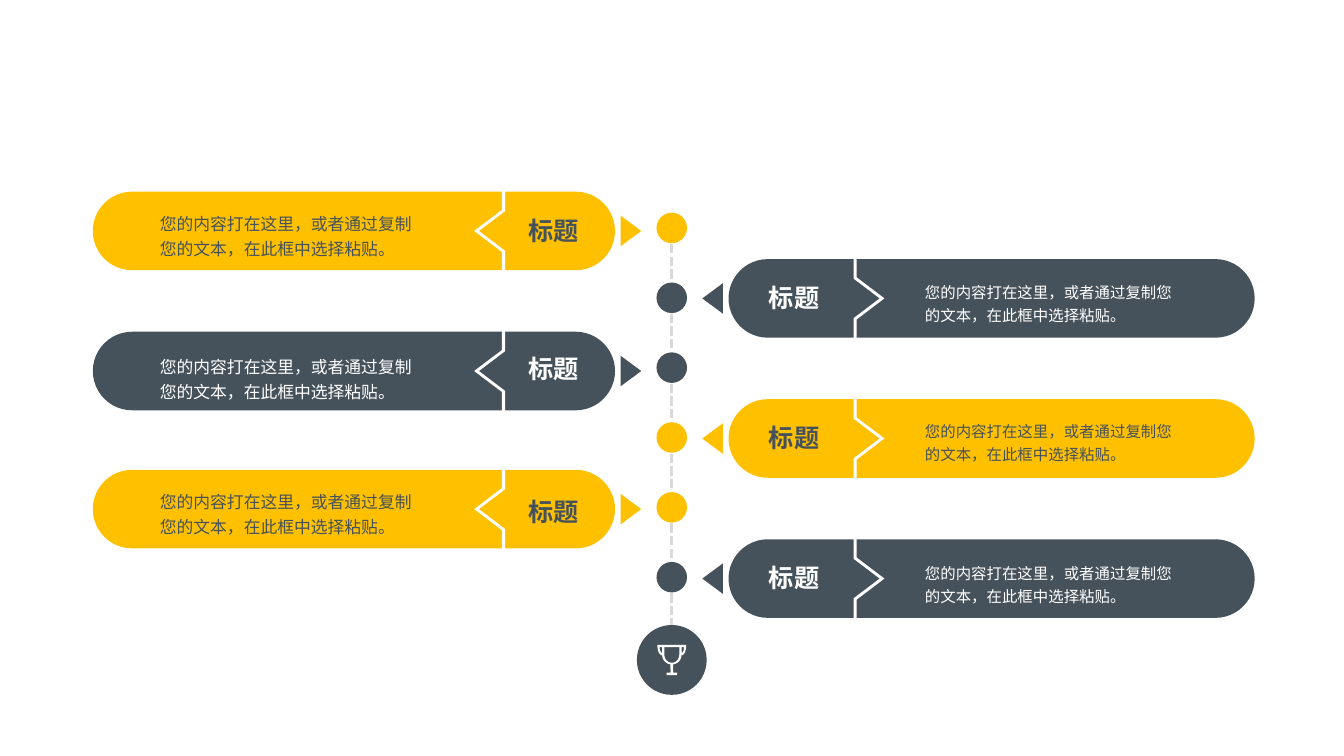
from dataclasses import dataclass
from math import cos, radians, sin

from lxml.etree import SubElement
from pptx import Presentation
from pptx.dml.color import RGBColor as RGB
from pptx.enum.dml import MSO_LINE as Dash
from pptx.enum.shapes import MSO_CONNECTOR as Link, MSO_SHAPE as Kind
from pptx.enum.text import MSO_AUTO_SIZE as Fit, PP_ALIGN as Align
from pptx.oxml.ns import qn
from pptx.util import Cm, Pt


@dataclass(frozen=True)
class Theme:
    dark: RGB = RGB(0x46, 0x52, 0x5B)
    gold: RGB = RGB(0xFF, 0xC0, 0x00)
    white: RGB = RGB(0xFF, 0xFF, 0xFF)
    dash: RGB = RGB(0xD9, 0xD9, 0xD9)
    font: str = "Noto Sans CJK SC"
    head: int = 18
    left: int = 12
    right: int = 11
    line: float = 2.25


@dataclass(frozen=True)
class Side:
    pill: float
    width: float
    notch: float
    arrow: float
    turn: int
    label: float
    body: float
    size: int
    sign: int


THEME = Theme()
LEFT = Side(2.34, 13.16, 12.73, 15.9, 90, 12.6, 3.78, THEME.left, -1)
RIGHT = Side(18.36, 13.26, 21.51, 17.96, 270, 18.67, 23.06, THEME.right, 1)
BODY = "您的内容打在这里，或者通过复制您的文本，在此框中选择粘贴。"
# side, colour, pill top, label offset, body offset
STEPS = [
    (LEFT, THEME.gold, 4.83, 0.48, 0.3),
    (RIGHT, THEME.dark, 6.53, 0.46, 0.36),
    (LEFT, THEME.dark, 8.36, 0.41, 0.38),
    (RIGHT, THEME.gold, 10.06, 0.46, 0.33),
    (LEFT, THEME.gold, 11.84, 0.53, 0.3),
    (RIGHT, THEME.dark, 13.59, 0.46, 0.38),
]
HIGH = 1.98
AXIS = 16.93
DOT = 0.77
FIRST = 5.36
PITCH = 1.76
NOTCH = [(0, -1.41), (0, -0.5), (0.66, 0), (0, 0.5), (0, 1.41),
         (0.08, 1.41), (0.08, 0.53), (0.78, 0), (0.08, -0.53), (0.08, -1.41)]


def paint(shape, color):
    shape.shadow.inherit = False
    shape.fill.solid()
    shape.fill.fore_color.rgb = color
    shape.line.fill.background()
    return shape


def block(slide, kind, x, y, w, h, color):
    return paint(slide.shapes.add_shape(kind, Cm(x), Cm(y), Cm(w), Cm(h)), color)


def poly(slide, x, y, rings, color, unit=1):
    """Fill closed rings of points, given in units around (x, y)."""
    rings = [[(Cm(x + unit * a), Cm(y + unit * b)) for a, b in ring] for ring in rings]
    pen = slide.shapes.build_freeform(*rings[0][0])
    for ring in rings:
        if ring is not rings[0]:
            pen.move_to(*ring[0])
        pen.add_line_segments(ring[1:], close=True)
    paint(pen.convert_to_shape(), color)


def write(slide, text, x, y, w, h, size, color, bold=False, align=Align.LEFT, space=None):
    frame = slide.shapes.add_textbox(Cm(x), Cm(y), Cm(w), Cm(h)).text_frame
    frame.word_wrap = True
    frame.auto_size = Fit.SHAPE_TO_FIT_TEXT
    para = frame.paragraphs[0]
    para.alignment = align
    para.line_spacing = space
    run = para.add_run()
    run.text = text
    font = run.font
    font.name, font.size, font.bold = THEME.font, Pt(size), bold
    font.color.rgb = color
    SubElement(run._r.get_or_add_rPr(), qn("a:ea"), typeface=THEME.font)


def banner(slide, side, color, top, head, body):
    mid = top + HIGH / 2
    ink = THEME.dark if color == THEME.gold else THEME.white
    pill = block(slide, Kind.ROUNDED_RECTANGLE, side.pill, top, side.width, HIGH, color)
    pill.adjustments[0] = 0.5
    notch = [(side.sign * a, b) for a, b in NOTCH]
    poly(slide, side.notch, mid, [notch], THEME.white)
    arrow = block(slide, Kind.ISOSCELES_TRIANGLE, side.arrow - 0.385, mid - 0.26,
                  0.77, 0.52, color)
    arrow.rotation = side.turn
    write(slide, "标题", side.label, top + head, 2.69, 1.02, THEME.head, ink,
          bold=True, align=Align.CENTER)
    write(slide, BODY, side.body, top + body, 6.86, 1.5, side.size, ink, space=1.25)


def stop(slide, top, color):
    """Draw a dot on the axis and the dashed line below it."""
    line = slide.shapes.add_connector(Link.STRAIGHT, Cm(AXIS), Cm(top + 0.79),
                                      Cm(AXIS), Cm(top + 1.72))
    line.line.color.rgb = THEME.dash
    line.line.width = Pt(THEME.line)
    line.line.dash_style = Dash.SQUARE_DOT
    SubElement(line._element.spPr, qn("a:effectLst"))
    block(slide, Kind.OVAL, AXIS - DOT / 2, top, DOT, DOT, color)


def arc(x, y, rx, ry, end=90):
    turns = [radians(end * i / 12) for i in range(13)]
    return [(x + rx * cos(t), y + ry * sin(t)) for t in turns]


def mirror(half):
    return [(-x, y) for x, y in reversed(half)]


def trophy(slide):
    block(slide, Kind.OVAL, AXIS - 0.88, 15.75, 1.76, 1.76, THEME.dark)
    edge = [(14.5, 0), *arc(9.7, 1, 4.8, 9.5), *arc(0, 10.3, 9.7, 9.4, 82),
            (1.3, 28), (5.3, 28), (5.3, 30.5)]
    bowl = [(7.5, 2.3), *arc(0, 10, 7.5, 8)]
    ear = [(9.8, 2.3), *arc(9.8, 2.3, 2.5, 5.7)]
    rings = [edge + mirror(edge), bowl + mirror(bowl), ear, mirror(ear)]
    poly(slide, AXIS, 16.25, rings, THEME.white, unit=0.025)


def main():
    deck = Presentation()
    deck.slide_width, deck.slide_height = Cm(33.87), Cm(19.05)
    slide = deck.slides.add_slide(deck.slide_layouts[6])
    for i, step in enumerate(STEPS):
        banner(slide, *step)
        stop(slide, FIRST + i * PITCH, step[1])
    trophy(slide)
    deck.save("out.pptx")


if __name__ == "__main__":
    main()
